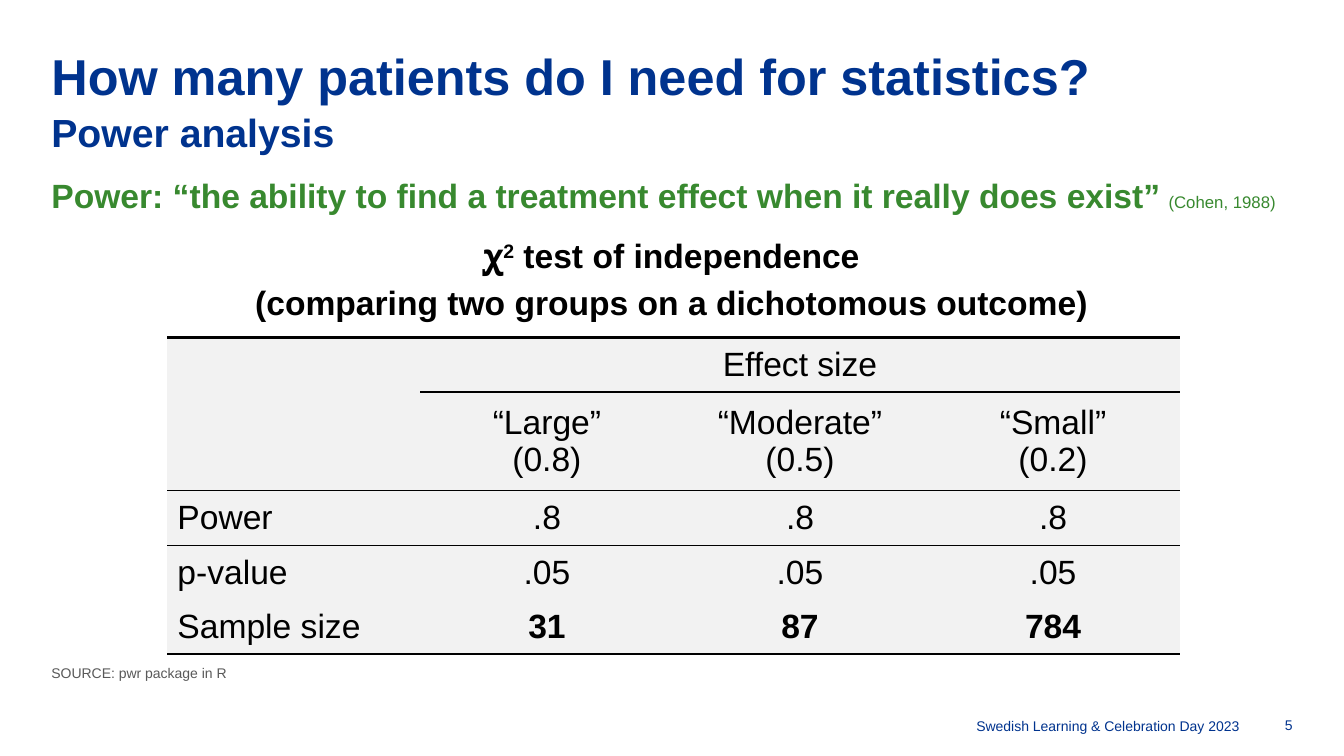
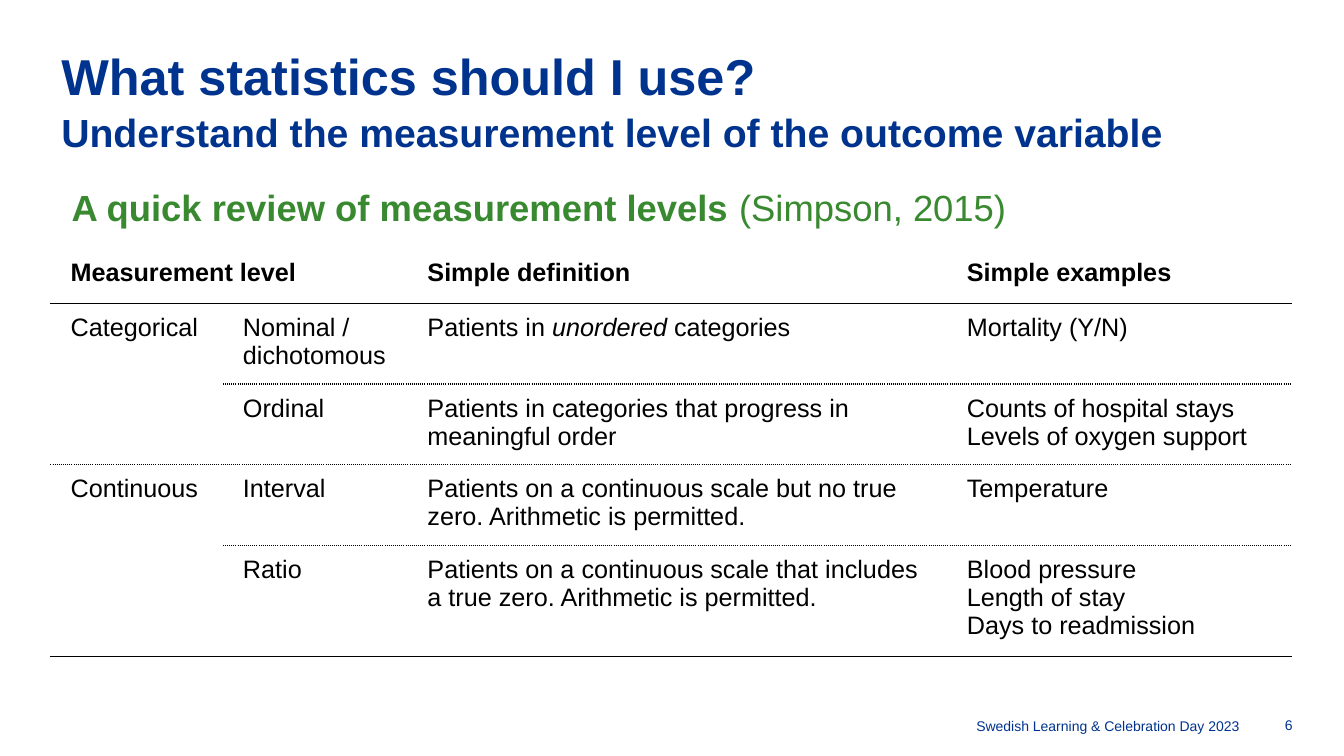
from pptx import Presentation
from pptx.dml.color import RGBColor
from pptx.enum.text import MSO_ANCHOR as Anchor, PP_ALIGN as Align
from pptx.oxml.ns import qn
from pptx.util import Inches, Pt
from lxml.etree import SubElement

# Shared look
FONT = "Arial"
NAVY, GREEN, BLACK = "00338E", "38892F", "000000"
GREY, PALE = "595959", "F2F2F2"
LEFT, WIDTH = 0.51, 12.32
NO_PAD = (0, 0, 0, 0)
WIDE_PAD = (0.2, 0.1, 0.1, 0.1)
EVENT = "Swedish Learning & Celebration Day 2023"


def color(code):
    return RGBColor.from_string(code)


def style(font, size=18, ink=BLACK, bold=False, italic=False, raised=False):
    font.name, font.size = FONT, Pt(size)
    font.bold, font.italic = bold, italic
    font.color.rgb = color(ink)
    if raised:
        font._element.set("baseline", "30000")


def write(frame, paras, align=Align.LEFT, after=0, spacing=1, **base):
    """Each paragraph is a string or a list of (text, changes) runs."""
    for i, runs in enumerate(paras):
        para = frame.add_paragraph() if i else frame.paragraphs[0]
        para.alignment, para.line_spacing = align, spacing
        para.space_after = Pt(after)
        if isinstance(runs, str):
            runs = [(runs, {})]
        for text, change in runs:
            run = para.add_run()
            run.text = text
            style(run.font, **{**base, **change})


def pad(box, sizes):
    sides = ("left", "top", "right", "bottom")
    for side, size in zip(sides, sizes):
        setattr(box, "margin_" + side, Inches(size))


def label(slide, place, paras, margins=NO_PAD, anchor=Anchor.TOP, **look):
    frame = slide.shapes.add_textbox(*map(Inches, place)).text_frame
    frame.word_wrap, frame.vertical_anchor = True, anchor
    pad(frame, margins)
    write(frame, paras, **look)


# Table parts
def edge(cell, side, rule):
    """Draw one cell side; a rule is (width, dash, first column)."""
    line = SubElement(cell._tc.get_or_add_tcPr(), qn("a:ln" + side))
    if not rule:
        SubElement(line, qn("a:noFill"))
        return
    width, dash, _ = rule
    line.set("w", str(Pt(width)))
    ink = SubElement(SubElement(line, qn("a:solidFill")), qn("a:srgbClr"))
    ink.set("val", BLACK)
    SubElement(line, qn("a:prstDash")).set("val", dash)


def grid(slide, left, top, widths, heights, data, rules, span, look,
         margins, fill=None):
    """Rules are keyed by row edge; span joins columns of the top row."""
    table = slide.shapes.add_table(
        len(heights), len(widths), Inches(left), Inches(top),
        Inches(sum(widths)), Inches(sum(heights))).table
    table.first_row = table.horz_banding = False
    for col, width in zip(table.columns, widths):
        col.width = Inches(width)
    for row, height in zip(table.rows, heights):
        row.height = Inches(height)
    first, last = span
    table.cell(0, first).merge(table.cell(0, last))

    for r, line in enumerate(data):
        for c, item in enumerate(line):
            cell = table.cell(r, c)
            pad(cell, margins)
            for side, at in (("L", None), ("R", None), ("T", r), ("B", r + 1)):
                rule = rules.get(at)
                edge(cell, side, rule if rule and c >= rule[2] else None)
            if fill:
                cell.fill.solid()
                cell.fill.fore_color.rgb = color(fill)
            else:
                cell.fill.background()
            anchor, font = look(r, c)
            cell.vertical_anchor = anchor
            if item:
                paras = item.split("\n") if isinstance(item, str) else [item]
                write(cell.text_frame, paras, **font)


# Slide frame: title, footer and number
def start(deck, title, sub, number, inset=0):
    slide = deck.slides.add_slide(deck.slide_layouts[6])
    label(slide, (LEFT, 0.5, WIDTH, 0.96),
          [[(title, {"size": 36})], [(sub, {"size": 28})]],
          (inset, 0, 0, 0), Anchor.MIDDLE, spacing=1.06, ink=NAVY, bold=True)
    for place, text in (((4.7, 7.03, 7.59, 0.26), EVENT),
                        ((12.28, 7.03, 0.54, 0.25), str(number))):
        label(slide, place, [text], anchor=Anchor.BOTTOM,
              align=Align.RIGHT, size=10, ink=NAVY)
    return slide


def power(deck):
    slide = start(deck, "How many patients do I need for statistics?",
                  "Power analysis", 5)
    label(slide, (LEFT, 6.59, WIDTH, 0.23), ["SOURCE: pwr package in R"],
          size=10, ink=GREY)
    quote = "Power: “the ability to find a treatment effect when it really does exist”"
    label(slide, (LEFT, 1.71, WIDTH, 0.4),
          [[(quote, {}), (" ", {"size": 20}),
            ("(Cohen, 1988)", {"size": 12, "bold": False})]],
          spacing=1.06, size=24, ink=GREEN, bold=True)
    label(slide, (0.5, 2.26, WIDTH, 0.95),
          [[("ꭕ", {}), ("2", {"raised": True}), (" test of independence", {})],
           "(comparing two groups on a dichotomous outcome)"],
          (0.05,) * 4, align=Align.CENTER, after=3, spacing=1.06,
          size=24, bold=True)

    data = [
        ["", "Effect size", "", ""],
        ["", "“Large”\n(0.8)", "“Moderate”\n(0.5)", "“Small”\n(0.2)"],
        ["Power"] + [".8"] * 3,
        ["p-value"] + [".05"] * 3,
        ["Sample size", "31", "87", "784"],
    ]
    thin, thick = (1, "solid", 0), (2.25, "solid", 0)
    rules = {0: thick, 1: (1, "solid", 1), 2: thin, 3: thin, 5: thick}

    def look(r, c):
        return Anchor.MIDDLE, {
            "size": 24, "bold": r == 4 and c > 0,
            "align": Align.CENTER if c else Align.LEFT}

    grid(slide, 1.66, 3.35, [2.51] * 4, [0.54, 0.98] + [0.54] * 3,
         data, rules, (1, 3), look, (0.1, 0.05, 0.1, 0.05), PALE)


def levels(deck):
    slide = start(deck, "What statistics should I use?",
                  "Understand the measurement level of the outcome variable",
                  6, 0.1)
    label(slide, (LEFT, 1.71, WIDTH, 0.64),
          [[("A quick review of measurement levels ", {"bold": True}),
            ("(Simpson, 2015)", {})]],
          WIDE_PAD, spacing=1.06, size=26, ink=GREEN)

    data = [
        ["Measurement level", "", "Simple definition", "Simple examples"],
        ["Categorical", "Nominal / dichotomous",
         [("Patients in ", {}), ("unordered", {"italic": True}),
          (" categories", {})],
         "Mortality (Y/N)"],
        ["", "Ordinal",
         "Patients in categories that progress in meaningful order",
         "Counts of hospital stays\nLevels of oxygen support"],
        ["Continuous", "Interval",
         "Patients on a continuous scale but no true zero. "
         "Arithmetic is permitted.",
         "Temperature"],
        ["", "Ratio",
         "Patients on a continuous scale that includes a true zero. "
         "Arithmetic is permitted.",
         "Blood pressure\nLength of stay\nDays to readmission"],
    ]
    solid, part = (1, "solid", 0), (1, "sysDot", 1)
    rules = {1: solid, 2: part, 3: (1, "sysDot", 0), 4: part, 5: solid}

    def look(r, c):
        return Anchor.TOP if r else Anchor.MIDDLE, {"bold": r == 0}

    grid(slide, 0.5, 2.4, [1.71, 1.83, 5.35, 3.42],
         [0.61, 0.76, 0.78, 0.79, 1.06], data, rules, (0, 1), look, WIDE_PAD)


def main():
    deck = Presentation()
    deck.slide_width, deck.slide_height = Inches(13.33), Inches(7.5)
    power(deck)
    levels(deck)
    deck.save("out.pptx")


if __name__ == "__main__":
    main()
